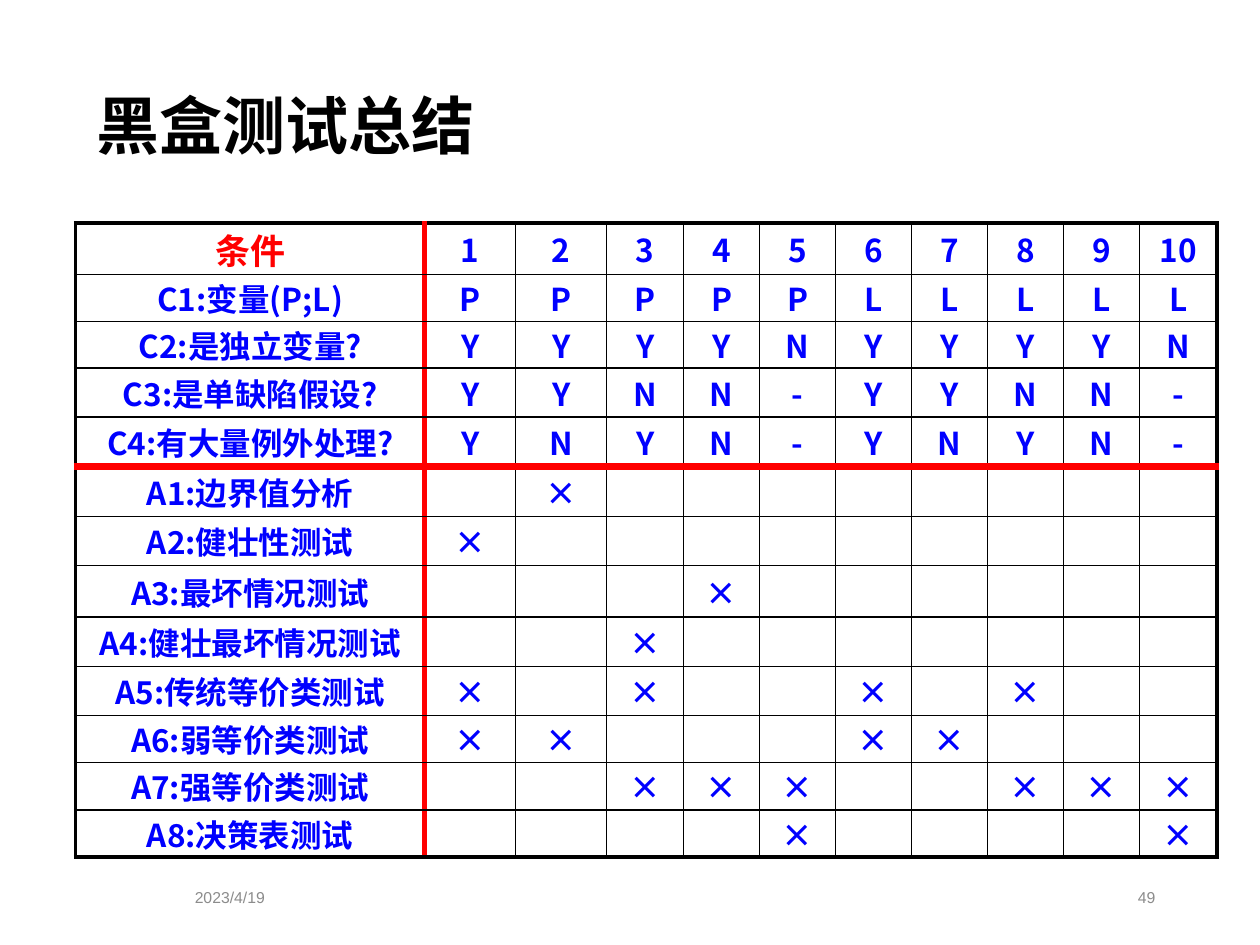
from lxml import etree
from pptx import Presentation
from pptx.dml.color import RGBColor
from pptx.enum.text import MSO_ANCHOR, PP_ALIGN
from pptx.oxml.ns import qn
from pptx.util import Pt

MIDDLE = MSO_ANCHOR.MIDDLE
CENTER = PP_ALIGN.CENTER
RIGHT = PP_ALIGN.RIGHT
JUSTIFY = PP_ALIGN.JUSTIFY

CJK_FONT = "Noto Sans CJK SC"
FOOTER_FONT = "Arial"
BLACK, RED, BLUE, GRAY = "000000", "FF0000", "0000FF", "8C8C8C"

CONDITIONS = [
    ("条件", "1 2 3 4 5 6 7 8 9 10"),
    ("C1:变量(P;L)", "P P P P P L L L L L"),
    ("C2:是独立变量?", "Y Y Y Y N Y Y Y Y N"),
    ("C3:是单缺陷假设?", "Y Y N N - Y Y N N -"),
    ("C4:有大量例外处理?", "Y N Y N - Y N Y N -"),
]
ACTIONS = [
    ("A1:边界值分析", {2}),
    ("A2:健壮性测试", {1}),
    ("A3:最坏情况测试", {4}),
    ("A4:健壮最坏情况测试", {3}),
    ("A5:传统等价类测试", {1, 3, 6, 8}),
    ("A6:弱等价类测试", {1, 2, 6, 7}),
    ("A7:强等价类测试", {3, 4, 5, 8, 9, 10}),
    ("A8:决策表测试", {5, 10}),
]
RULE_COUNT = 10
COLUMN_WIDTHS = [199.5, 52, 52, 44] + [43.4] * 6 + [44.5]
ROW_HEIGHTS = [29.5, 26.75, 26.75, 28, 28.5, 28.25, 28.25, 29.25,
               28.25, 28.25, 26.8, 27, 27]


def color(value):
    return RGBColor.from_string(value)


def add_run(paragraph, text, size, font_name, font_color, bold=False):
    run = paragraph.add_run()
    run.text = text
    run.font.size = Pt(size)
    run.font.name = font_name
    run.font.bold = bold
    run.font.color.rgb = color(font_color)
    east_asian = etree.SubElement(run.font._element, qn("a:ea"))
    east_asian.set("typeface", font_name)


def add_text(slide, box, text, alignment, size, font_name, font_color, bold=False):
    shape = slide.shapes.add_textbox(*map(Pt, box))
    frame = shape.text_frame
    frame.word_wrap = True
    frame.vertical_anchor = MIDDLE
    paragraph = frame.paragraphs[0]
    paragraph.alignment = alignment
    add_run(paragraph, text, size, font_name, font_color, bold)


def add_border(cell, side, line_color, width):
    properties = cell._tc.get_or_add_tcPr()
    line = etree.SubElement(properties, qn(f"a:ln{side}"), w=str(int(Pt(width))))
    fill = etree.SubElement(line, qn("a:solidFill"))
    etree.SubElement(fill, qn("a:srgbClr"), val=line_color)


def vertical_rule(index):
    if index == 1:
        return RED, 3
    return BLACK, 2.25 if index in (0, len(COLUMN_WIDTHS)) else 1


def horizontal_rule(index):
    if index == len(CONDITIONS):
        return RED, 4.5
    return BLACK, 2.25 if index in (0, len(ROW_HEIGHTS)) else 1


def style_cell(cell, row, column):
    cell.margin_left = cell.margin_right = cell.margin_top = cell.margin_bottom = 0
    cell.vertical_anchor = MIDDLE
    add_border(cell, "L", *vertical_rule(column))
    add_border(cell, "R", *vertical_rule(column + 1))
    add_border(cell, "T", *horizontal_rule(row))
    add_border(cell, "B", *horizontal_rule(row + 1))
    cell.fill.background()


def decision_rows():
    rows = [[label, *values.split()] for label, values in CONDITIONS]
    for label, rules in ACTIONS:
        marks = ["×" if rule in rules else "" for rule in range(1, RULE_COUNT + 1)]
        rows.append([label, *marks])
    return rows


def add_decision_table(slide, left, top):
    rows = decision_rows()
    frame = slide.shapes.add_table(
        len(rows), len(COLUMN_WIDTHS), Pt(left), Pt(top),
        Pt(sum(COLUMN_WIDTHS)), Pt(sum(ROW_HEIGHTS)))
    table = frame.table
    table.first_row = False
    table.horz_banding = False
    for column, width in zip(table.columns, COLUMN_WIDTHS):
        column.width = Pt(width)
    for row, height in zip(table.rows, ROW_HEIGHTS):
        row.height = Pt(height)
    for row_index, values in enumerate(rows):
        for column_index, text in enumerate(values):
            cell = table.cell(row_index, column_index)
            style_cell(cell, row_index, column_index)
            paragraph = cell.text_frame.paragraphs[0]
            paragraph.alignment = CENTER
            is_heading = row_index == column_index == 0
            size, font_color = (20, RED) if is_heading else (18, BLUE)
            if text:
                add_run(paragraph, text, size, CJK_FONT, font_color, True)
            else:
                paragraph.font.size = Pt(size)


def main():
    presentation = Presentation()
    presentation.slide_width = Pt(720)
    presentation.slide_height = Pt(540)
    slide = presentation.slides.add_slide(presentation.slide_layouts[6])
    add_decision_table(slide, 43.2, 127.4)
    add_text(slide, (51.8, 503.3, 159, 18.7), "2023/4/19", CENTER, 9, FOOTER_FONT, GRAY)
    add_text(slide, (508.3, 503.3, 159, 18.7), "49", RIGHT, 9, FOOTER_FONT, GRAY)
    add_text(slide, (48.2, 31.7, 620.6, 79.2), "黑盒测试总结", JUSTIFY, 36, CJK_FONT, BLACK, True)
    presentation.save("out.pptx")


if __name__ == "__main__":
    main()
